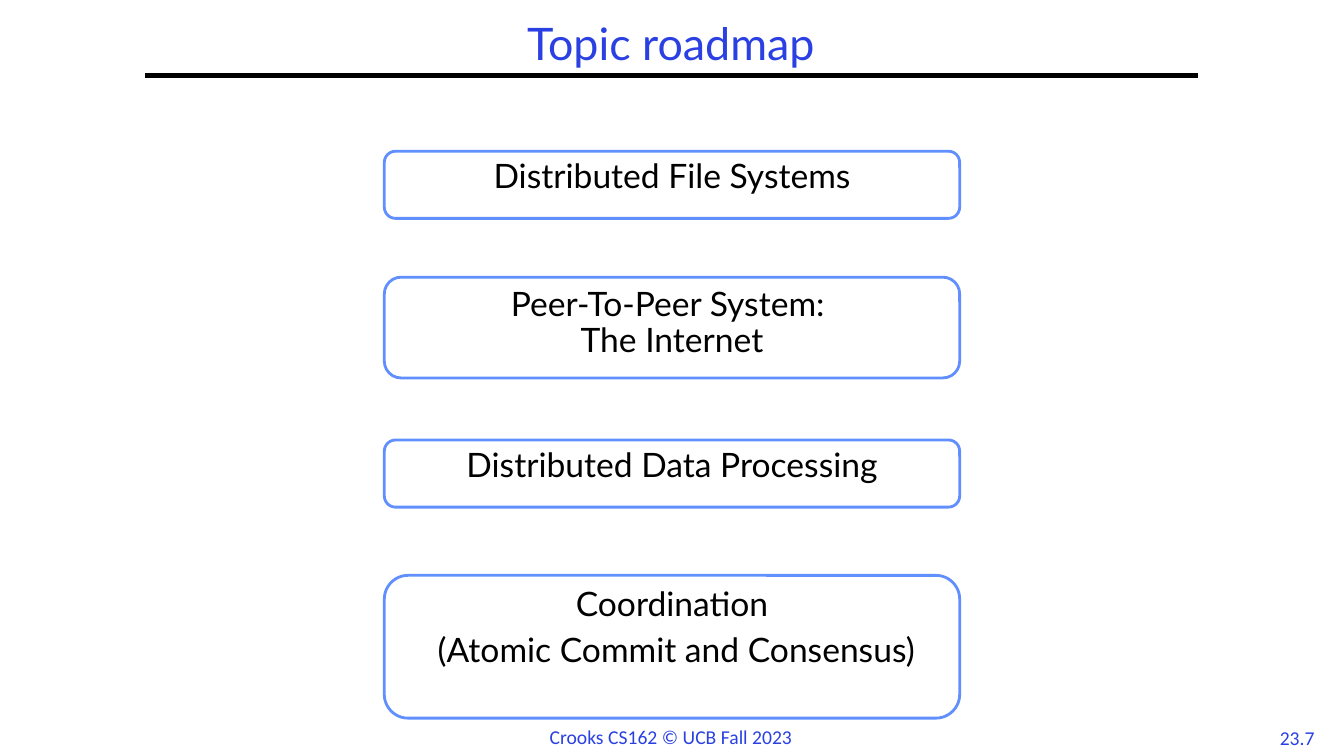
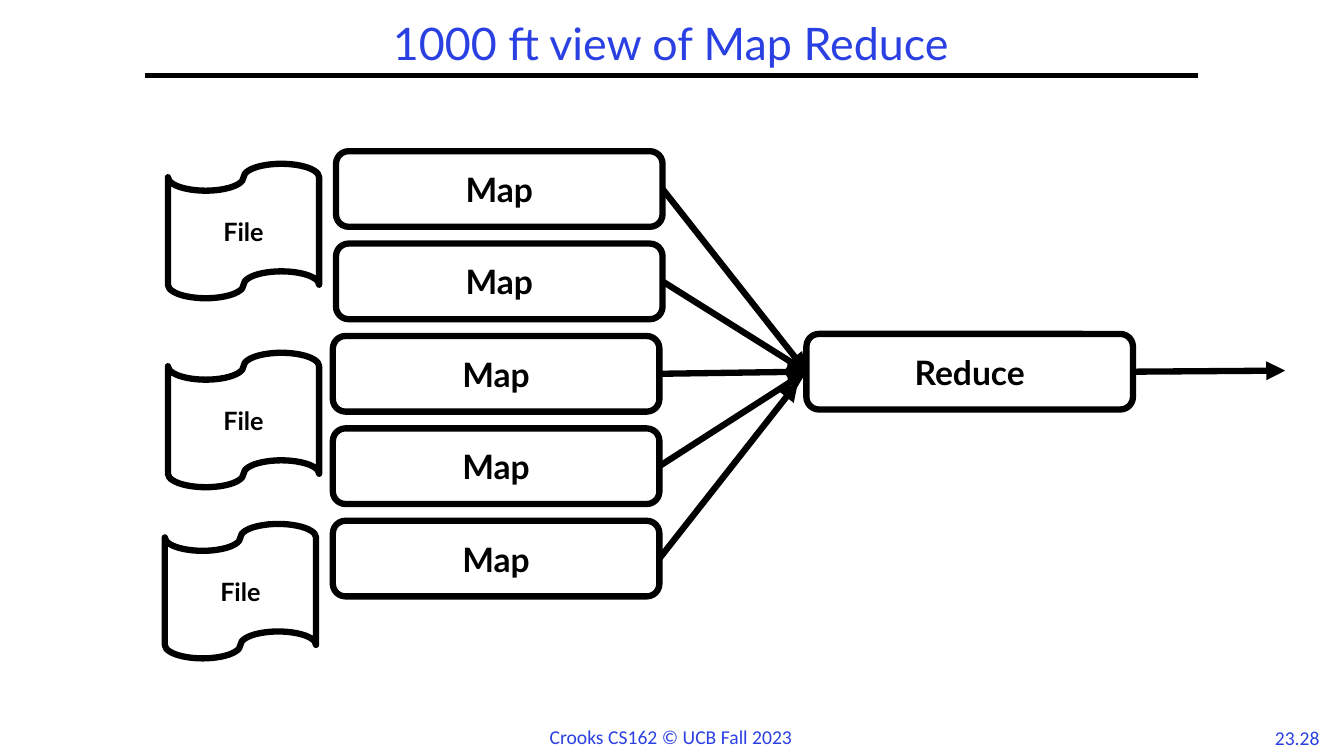
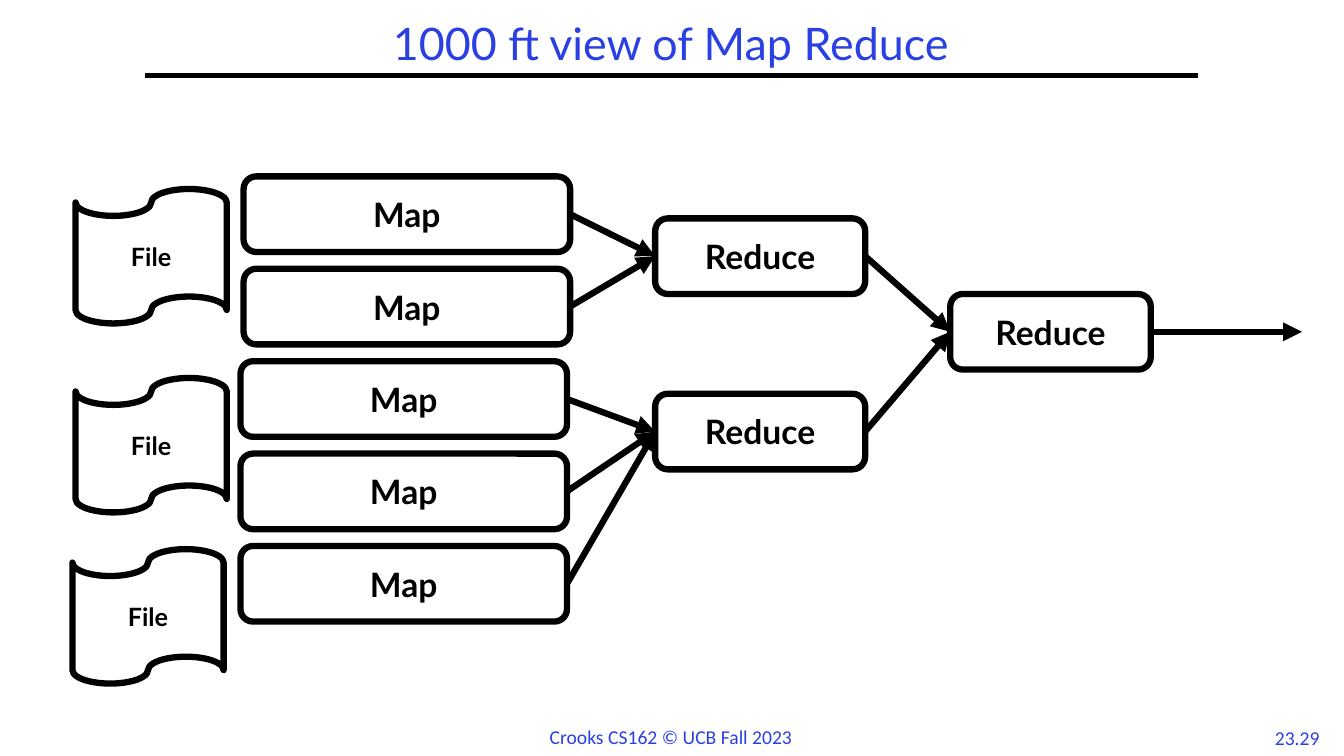
"""Build three lecture slides: a topic roadmap and two views of Map Reduce."""

from dataclasses import dataclass
from typing import Optional

from lxml.etree import SubElement
from pptx import Presentation
from pptx.dml.color import RGBColor
from pptx.enum.shapes import MSO_CONNECTOR, MSO_SHAPE
from pptx.enum.text import MSO_ANCHOR, MSO_AUTO_SIZE, PP_ALIGN
from pptx.oxml.ns import qn
from pptx.presentation import Presentation as Deck
from pptx.shapes.autoshape import Shape
from pptx.shapes.connector import Connector
from pptx.slide import Slide
from pptx.text.text import TextFrame
from pptx.util import Emu, Pt

EMU_PER_PX = 9525
LEFT_SIDE, RIGHT_SIDE = 1, 3
TITLE_ONLY = 5


@dataclass(frozen=True)
class Theme:
    accent: RGBColor = RGBColor(0x2A, 0x40, 0xE2)
    outline: RGBColor = RGBColor(0x61, 0x8F, 0xFD)
    ink: RGBColor = RGBColor(0, 0, 0)
    paper: RGBColor = RGBColor(255, 255, 255)
    font: str = "Lato"
    footer_font: str = "Calibri"
    title_size: int = 32
    body_size: int = 24
    file_size: int = 18
    footer_size: int = 14
    rule_width: float = 3
    topic_width: float = 2
    diagram_width: float = 4.5
    line_spacing: float = 0.9
    paragraph_gap: float = 7.2


THEME = Theme()


@dataclass(frozen=True)
class Area:
    left: int
    top: int
    width: int
    height: int

    def emu(self) -> tuple[Emu, Emu, Emu, Emu]:
        return px(self.left), px(self.top), px(self.width), px(self.height)


@dataclass(frozen=True)
class TextStyle:
    size: int
    color: RGBColor = THEME.ink
    font: str = THEME.font
    bold: bool = False
    align: PP_ALIGN = PP_ALIGN.CENTER
    spacing: Optional[float] = None
    gap: float = 0


@dataclass(frozen=True)
class BoxStyle:
    text: TextStyle
    line_color: RGBColor
    line_width: float
    anchor: MSO_ANCHOR
    preset: MSO_SHAPE = MSO_SHAPE.ROUNDED_RECTANGLE


TITLE_TEXT = TextStyle(THEME.title_size, THEME.accent, spacing=THEME.line_spacing)
NUMBER_TEXT = TextStyle(THEME.footer_size, THEME.accent, THEME.footer_font)
FOOTER_TEXT = TextStyle(THEME.footer_size, THEME.accent, THEME.footer_font, align=PP_ALIGN.LEFT)
TOPIC = BoxStyle(
    TextStyle(THEME.body_size, spacing=THEME.line_spacing, gap=THEME.paragraph_gap),
    THEME.outline, THEME.topic_width, MSO_ANCHOR.TOP,
)
STEP = BoxStyle(
    TextStyle(THEME.body_size, bold=True),
    THEME.ink, THEME.diagram_width, MSO_ANCHOR.MIDDLE,
)
FILE = BoxStyle(
    TextStyle(THEME.file_size, bold=True),
    THEME.ink, THEME.diagram_width, MSO_ANCHOR.MIDDLE, MSO_SHAPE.FLOWCHART_PUNCHED_TAPE,
)

TITLE_AREA = Area(138, 16, 1002, 56)
NUMBER_AREA = Area(1203, 687, 65, 32)
FOOTER_AREA = Area(514, 686, 252, 33)
RULE_Y = 72
RULE_LEFT, RULE_RIGHT = 138, 1141

TOPIC_LEFT, TOPIC_WIDTH = 366, 548
TOPICS = (
    (144, 64, "Distributed File Systems"),
    (264, 96, "Peer-To-Peer System: \vThe Internet"),
    (419, 64, "Distributed Data Processing"),
    (548, 136, "Coordination\n (Atomic Commit and Consensus)"),
)

MAP_OFFSETS = (160, 160, 157, 157, 157)
MAP_PITCH, STEP_WIDTH, STEP_HEIGHT = 88, 311, 72
FILE_OFFSETS = ((0, 12), (0, 192), (-3, 355))
FILE_WIDTH, FILE_HEIGHT = 144, 128


def px(length: int) -> Emu:
    return Emu(length * EMU_PER_PX)


def style_text(frame: TextFrame, style: TextStyle) -> None:
    for index, para in enumerate(frame.paragraphs):
        para.alignment = style.align
        if style.spacing:
            para.line_spacing = style.spacing
        if index and style.gap:
            para.space_before = Pt(style.gap)
        for span in para.runs:
            span.font.name = style.font
            span.font.size = Pt(style.size)
            span.font.bold = style.bold
            span.font.color.rgb = style.color


def add_label(page: Slide, area: Area, text: str, style: TextStyle) -> None:
    frame = page.shapes.add_textbox(*area.emu()).text_frame
    frame.word_wrap = False
    frame.text = text
    style_text(frame, style)


def add_box(page: Slide, area: Area, text: str, style: BoxStyle) -> Shape:
    box = page.shapes.add_shape(style.preset, *area.emu())
    box.shadow.inherit = False
    box.fill.solid()
    box.fill.fore_color.rgb = THEME.paper
    box.line.color.rgb = style.line_color
    box.line.width = Pt(style.line_width)
    frame = box.text_frame
    frame.word_wrap = True
    frame.vertical_anchor = style.anchor
    frame.text = text
    style_text(frame, style.text)
    return box


def add_line(page: Slide, start: tuple[int, int], end: tuple[int, int], width: float) -> Connector:
    line = page.shapes.add_connector(
        MSO_CONNECTOR.STRAIGHT, px(start[0]), px(start[1]), px(end[0]), px(end[1])
    )
    line.line.color.rgb = THEME.ink
    line.line.width = Pt(width)
    SubElement(line.element.spPr, qn("a:effectLst"))
    return line


def add_arrow(
    page: Slide, source: Shape, target: Optional[Shape] = None, tip: tuple[int, int] = (0, 0)
) -> None:
    arrow = add_line(page, (0, 0), tip, THEME.diagram_width)
    arrow.begin_connect(source, RIGHT_SIDE)
    if target is not None:
        arrow.end_connect(target, LEFT_SIDE)
    SubElement(arrow.element.spPr.find(qn("a:ln")), qn("a:tailEnd"), type="triangle")


def add_page(deck: Deck, title: str, number: str) -> Slide:
    page = deck.slides.add_slide(deck.slide_layouts[TITLE_ONLY])
    heading = page.shapes.title
    heading.left, heading.top, heading.width, heading.height = TITLE_AREA.emu()
    frame = heading.text_frame
    frame.text = title
    frame.auto_size = MSO_AUTO_SIZE.NONE
    frame.vertical_anchor = MSO_ANCHOR.MIDDLE
    style_text(frame, TITLE_TEXT)
    add_line(page, (RULE_LEFT, RULE_Y), (RULE_RIGHT, RULE_Y), THEME.rule_width)
    add_label(page, NUMBER_AREA, number, NUMBER_TEXT)
    add_label(page, FOOTER_AREA, "Crooks CS162 © UCB Fall 2023", FOOTER_TEXT)
    return page


def add_map_stage(page: Slide, left: int, top: int) -> list[Shape]:
    for across, down in FILE_OFFSETS:
        add_box(page, Area(left + across, top + down, FILE_WIDTH, FILE_HEIGHT), "File", FILE)
    return [
        add_box(
            page,
            Area(left + across, top + row * MAP_PITCH, STEP_WIDTH, STEP_HEIGHT),
            "Map",
            STEP,
        )
        for row, across in enumerate(MAP_OFFSETS)
    ]


def add_reduce(page: Slide, left: int, top: int, width: int) -> Shape:
    return add_box(page, Area(left, top, width, STEP_HEIGHT), "Reduce", STEP)


def build_roadmap(deck: Deck) -> None:
    page = add_page(deck, "Topic roadmap", "23.7")
    for top, height, text in TOPICS:
        add_box(page, Area(TOPIC_LEFT, top, TOPIC_WIDTH, height), text, TOPIC)


def build_single_reduce(deck: Deck) -> None:
    page = add_page(deck, "1000 ft view of Map Reduce", "23.28")
    *upper_maps, last_map = add_map_stage(page, 160, 144)
    reducer = add_reduce(page, 768, 318, STEP_WIDTH)
    for mapper in upper_maps:
        add_arrow(page, mapper, reducer)
    add_arrow(page, last_map, tip=(760, 364))
    add_arrow(page, reducer, tip=(1224, 353))


def build_reduce_tree(deck: Deck) -> None:
    page = add_page(deck, "1000 ft view of Map Reduce", "23.29")
    maps = add_map_stage(page, 72, 168)
    upper, lower = (add_reduce(page, 624, top, 200) for top in (208, 375))
    final = add_reduce(page, 905, 280, 191)
    for mapper, reducer in zip(maps, (upper, upper, lower, lower, lower)):
        add_arrow(page, mapper, reducer)
    for reducer in (upper, lower):
        add_arrow(page, reducer, final)
    add_arrow(page, final, tip=(1240, 316))


def main() -> None:
    deck = Presentation()
    deck.slide_width, deck.slide_height = px(1280), px(720)
    build_roadmap(deck)
    build_single_reduce(deck)
    build_reduce_tree(deck)
    deck.save("out.pptx")


if __name__ == "__main__":
    main()
